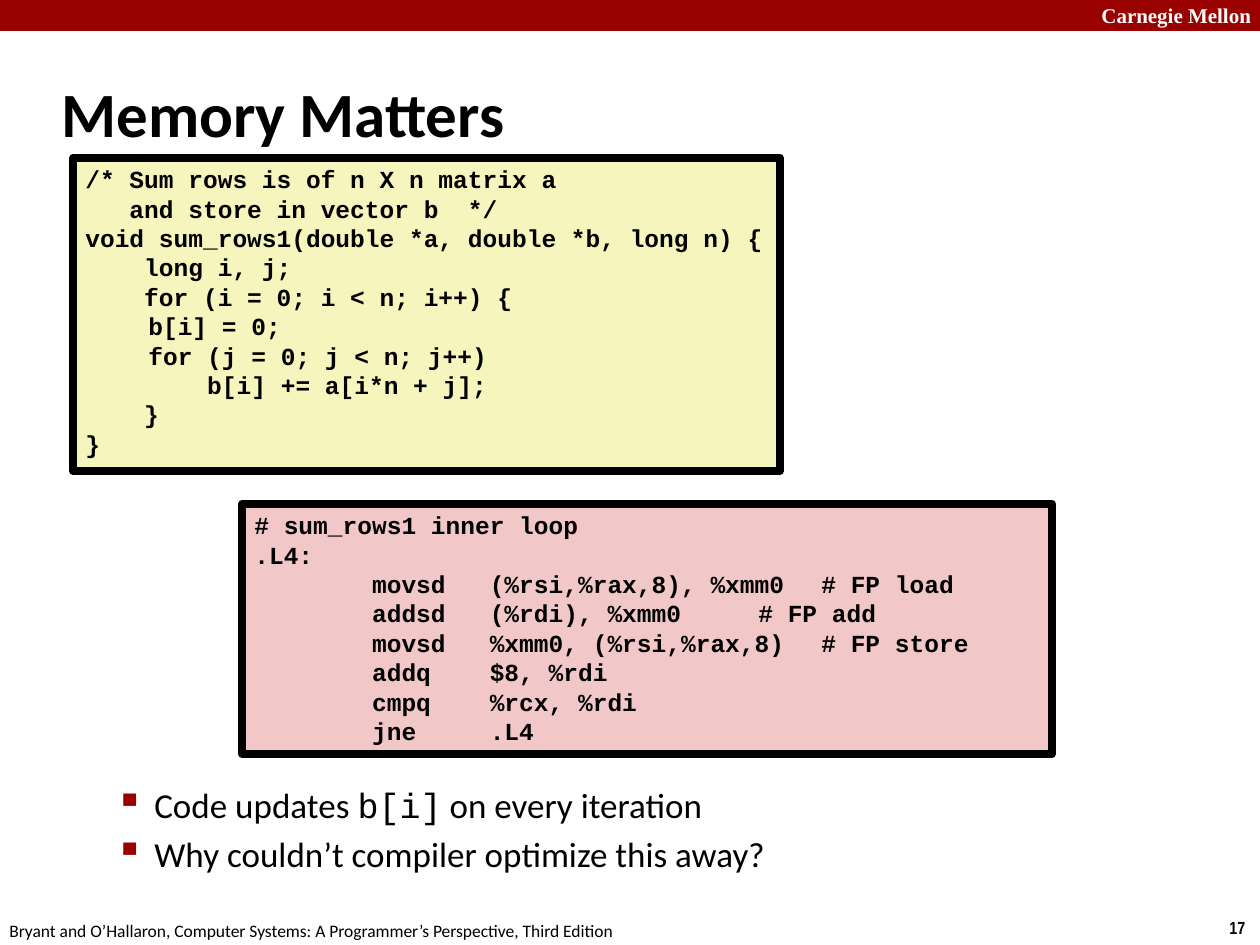
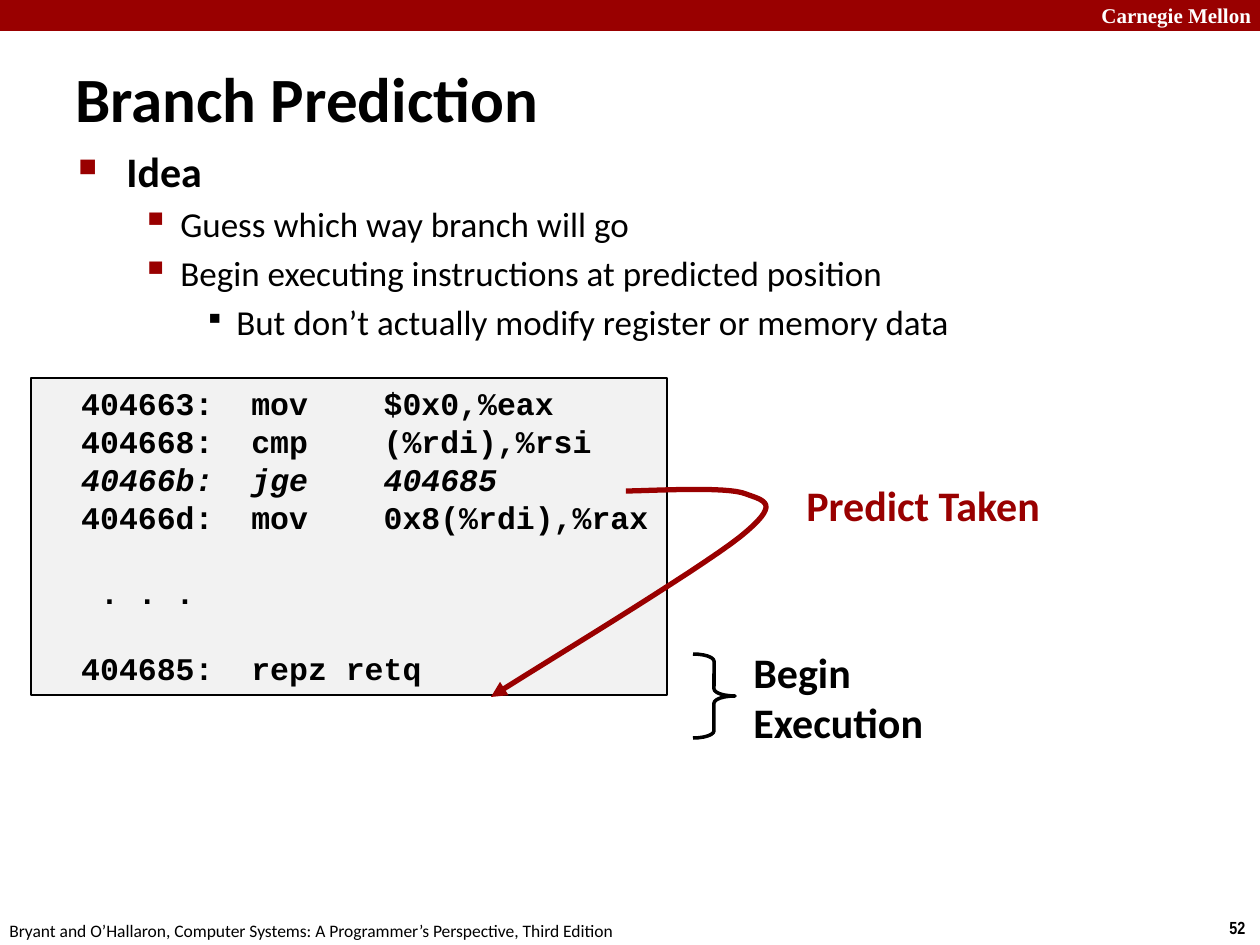
import pptx
import pptx.dml.color
import pptx.enum.shapes
import pptx.enum.text
import pptx.oxml.ns
import pptx.util
from lxml import etree

EMU_PER_PX = 914400 / 126
SLIDE_SIZE = (1260, 945)
COLORS = {
    "red": "990000", "black": "000000", "white": "FFFFFF",
    "yellow": "F6F5BD", "pink": "F1C7C7", "grey": "F2F2F2",
}
BODY, CODE, SERIF, NARROW = "Calibri", "Courier New", "Times New Roman", "Arial Narrow"
SHAPES = pptx.enum.shapes.MSO_SHAPE

# Outline levels: indent and hanging in px, bullet, its size in %, text size, bold
LEVELS = [
    dict(margin=48, hang=48, mark="■", percent=60, color="red", size=24, bold=True),
    dict(margin=102, hang=39, mark="▪", percent=110, color="red", size=20, bold=False),
    dict(margin=158, hang=32, mark="▪", percent=80, color="black", size=20, bold=False),
]

SUM_ROWS_CODE = """/* Sum rows is of n X n matrix a
   and store in vector b  */
void sum_rows1(double *a, double *b, long n) {
    long i, j;
    for (i = 0; i < n; i++) {
\tb[i] = 0;
\tfor (j = 0; j < n; j++)
\t    b[i] += a[i*n + j];
    }
}"""
INNER_LOOP_CODE = """# sum_rows1 inner loop
.L4:
        movsd   (%rsi,%rax,8), %xmm0\t# FP load
        addsd   (%rdi), %xmm0\t\t# FP add
        movsd   %xmm0, (%rsi,%rax,8)\t# FP store
        addq    $8, %rdi
        cmpq    %rcx, %rdi
        jne     .L4"""
BRANCH_CODE = """  404663:  mov    $0x0,%eax
  404668:  cmp    (%rdi),%rsi
  40466b:  jge    404685
  40466d:  mov    0x8(%rdi),%rax
   . . .
  404685:  repz retq"""


def px(length):
    return pptx.util.Emu(round(length * EMU_PER_PX))


def rgb(name):
    return pptx.dml.color.RGBColor.from_string(COLORS[name])


def add_runs(paragraph, text, size=20, font=BODY, color="black", bold=False, italic=False):
    """Append one run in the given format."""
    run = paragraph.add_run()
    run.text = text
    run.font.size = pptx.util.Pt(size)
    run.font.name = font
    run.font.color.rgb = rgb(color)
    run.font.bold = bold
    run.font.italic = italic


def write_lines(frame, text, **text_format):
    """Fill a frame with one paragraph per line and return the paragraphs."""
    for number, line in enumerate(text.split("\n")):
        paragraph = frame.add_paragraph() if number else frame.paragraphs[0]
        paragraph.alignment = pptx.enum.text.PP_ALIGN.LEFT
        add_runs(paragraph, line, **text_format)
    return frame.paragraphs


def add_text(slide, box, text, wrap=False, middle=False, **text_format):
    frame = slide.shapes.add_textbox(*map(px, box)).text_frame
    frame.word_wrap = wrap
    if middle:
        frame.vertical_anchor = pptx.enum.text.MSO_ANCHOR.MIDDLE
    write_lines(frame, text, **text_format)


def style_shape(shape, fill=None, line=None, width=1):
    shape.shadow.inherit = False
    if fill:
        shape.fill.solid()
        shape.fill.fore_color.rgb = rgb(fill)
    else:
        shape.fill.background()
    if line:
        shape.line.color.rgb = rgb(line)
        shape.line.width = pptx.util.Pt(width)
    else:
        shape.line.fill.background()
    return shape


def add_shape(slide, kind, box, **style):
    return style_shape(slide.shapes.add_shape(kind, *map(px, box)), **style)


def add_code(slide, box, code, fill, size, border):
    """Place a framed listing and return its paragraphs."""
    shape = add_shape(slide, SHAPES.RECTANGLE, box, fill=fill, line="black", width=border)
    frame = shape.text_frame
    frame.word_wrap = True
    frame.vertical_anchor = pptx.enum.text.MSO_ANCHOR.TOP
    return write_lines(frame, code, size=size, font=CODE, bold=True)


def set_bullet(paragraph, level):
    properties = paragraph._p.get_or_add_pPr()
    properties.set("marL", str(px(level["margin"])))
    properties.set("indent", str(-px(level["hang"])))
    for tag, value in (("buClr", None), ("buSzPct", level["percent"] * 1000),
                       ("buChar", level["mark"])):
        element = etree.SubElement(properties, pptx.oxml.ns.qn("a:" + tag))
        if tag == "buClr":
            color = etree.SubElement(element, pptx.oxml.ns.qn("a:srgbClr"))
            color.set("val", COLORS[level["color"]])
        else:
            element.set("char" if tag == "buChar" else "val", str(value))


def add_outline(slide, box, items):
    """Place bullets; each item is a level and its (text, font) pieces."""
    frame = slide.shapes.add_textbox(*map(px, box)).text_frame
    frame.word_wrap = True
    for number, (depth, pieces) in enumerate(items):
        level = LEVELS[depth]
        paragraph = frame.add_paragraph() if number else frame.paragraphs[0]
        paragraph.level = depth
        set_bullet(paragraph, level)
        if number:
            paragraph.space_before = pptx.util.Pt(level["size"] * 0.2)
        for text, font in pieces:
            add_runs(paragraph, text, size=level["size"], font=font, bold=level["bold"])


def add_curved_arrow(slide, box, start, curves):
    """Draw joined Bézier curves, with the arrowhead at the start."""
    left, top = box[:2]
    steps = 16
    points, current = [], start
    for curve in curves:
        controls = (current, *curve)
        for step in range(1, steps + 1):
            t = step / steps
            weights = ((1 - t) ** 3, 3 * t * (1 - t) ** 2, 3 * t * t * (1 - t), t ** 3)
            x, y = (sum(w * c[axis] for w, c in zip(weights, controls)) for axis in (0, 1))
            points.append((px(left + x), px(top + y)))
        current = curve[-1]
    builder = slide.shapes.build_freeform(px(left + start[0]), px(top + start[1]))
    builder.add_line_segments(points, close=False)
    arrow = style_shape(builder.convert_to_shape(), line="red", width=3)
    head = etree.SubElement(arrow.line._get_or_add_ln(), pptx.oxml.ns.qn("a:headEnd"))
    head.set("type", "triangle")


def add_band(slide, box):
    left, top, width, height = box
    add_shape(slide, SHAPES.RECTANGLE, box, fill="red")
    add_text(slide, (left + width - 171, top - 4, 180, 38), "Carnegie Mellon",
             wrap=True, size=12, font=SERIF, color="white", bold=True)


def add_footer(slide, box, number):
    left, top, width, height = box
    add_text(slide, (left + width - 43, top, 43, 34), str(number),
             size=10, font=NARROW, bold=True)
    add_text(slide, (left - 3, top + 3, 640, 34),
             "Bryant and O’Hallaron, Computer Systems: A Programmer’s Perspective, Third Edition",
             size=10)


def start_slide(presentation, number, title, title_box):
    slide = presentation.slides.add_slide(presentation.slide_layouts[6])
    width, height = SLIDE_SIZE
    add_band(slide, (0, 0, width, 31))
    add_footer(slide, (0, height - 34, width, 34), number)
    add_text(slide, title_box, title, wrap=True, middle=True, size=36, bold=True)
    return slide


def add_branch_diagram(slide, box):
    """Place the listing, the jump arrow and their labels."""
    left, top, width, height = box
    add_text(slide, (left + 763, top + 95, 261, 63), "Predict Taken",
             size=24, color="red", bold=True)

    # Brace and label for the jump target
    brace = add_shape(slide, SHAPES.RIGHT_BRACE, (left + 662, top + 276, 42, 84),
                      line="black", width=2)
    brace.adjustments[0] = 0.17
    add_text(slide, (left + 710, top + 262, 197, 115), "Begin\nExecution",
             size=24, bold=True)

    # Listing: the jump is italic, the ellipsis stands a line apart on both sides
    lines = add_code(slide, (left, top, 636, height), BRANCH_CODE, "grey", 18, 1.5)
    lines[2].runs[0].font.italic = True
    for paragraph in lines[4:6]:
        paragraph.space_before = pptx.util.Pt(21.6)

    # Arrow from the jump to its target
    add_curved_arrow(slide, box, (460, 319), [
        ((502, 292), (666, 193), (709, 159)),
        ((751, 125), (734, 123), (715, 116)),
        ((696, 108), (620, 113), (595, 113)),
    ])


def build_memory_slide(presentation):
    slide = start_slide(presentation, 17, "Memory Matters", (49, 60, 1046, 105))
    add_outline(slide, (40, 777, 1145, 111), [
        (1, [("Code updates ", BODY), ("b[i]", CODE), (" on every iteration", BODY)]),
        (1, [("Why couldn’t compiler optimize this away?", BODY)]),
    ])
    add_code(slide, (242, 504, 810, 250), INNER_LOOP_CODE, "pink", 14, 4.5)
    add_code(slide, (73, 158, 707, 313), SUM_ROWS_CODE, "yellow", 14, 4.5)


def build_branch_slide(presentation):
    slide = start_slide(presentation, 52, "Branch Prediction", (63, 58, 776, 79))
    add_outline(slide, (66, 139, 1145, 282), [
        (0, [("Idea", BODY)]),
        (1, [("Guess which way branch will go", BODY)]),
        (1, [("Begin executing instructions at predicted position", BODY)]),
        (2, [("But don’t actually modify register or memory data", BODY)]),
    ])
    add_branch_diagram(slide, (31, 378, 1024, 317))


def main():
    presentation = pptx.Presentation()
    presentation.slide_width, presentation.slide_height = map(px, SLIDE_SIZE)
    build_memory_slide(presentation)
    build_branch_slide(presentation)
    presentation.save("out.pptx")


if __name__ == "__main__":
    main()
